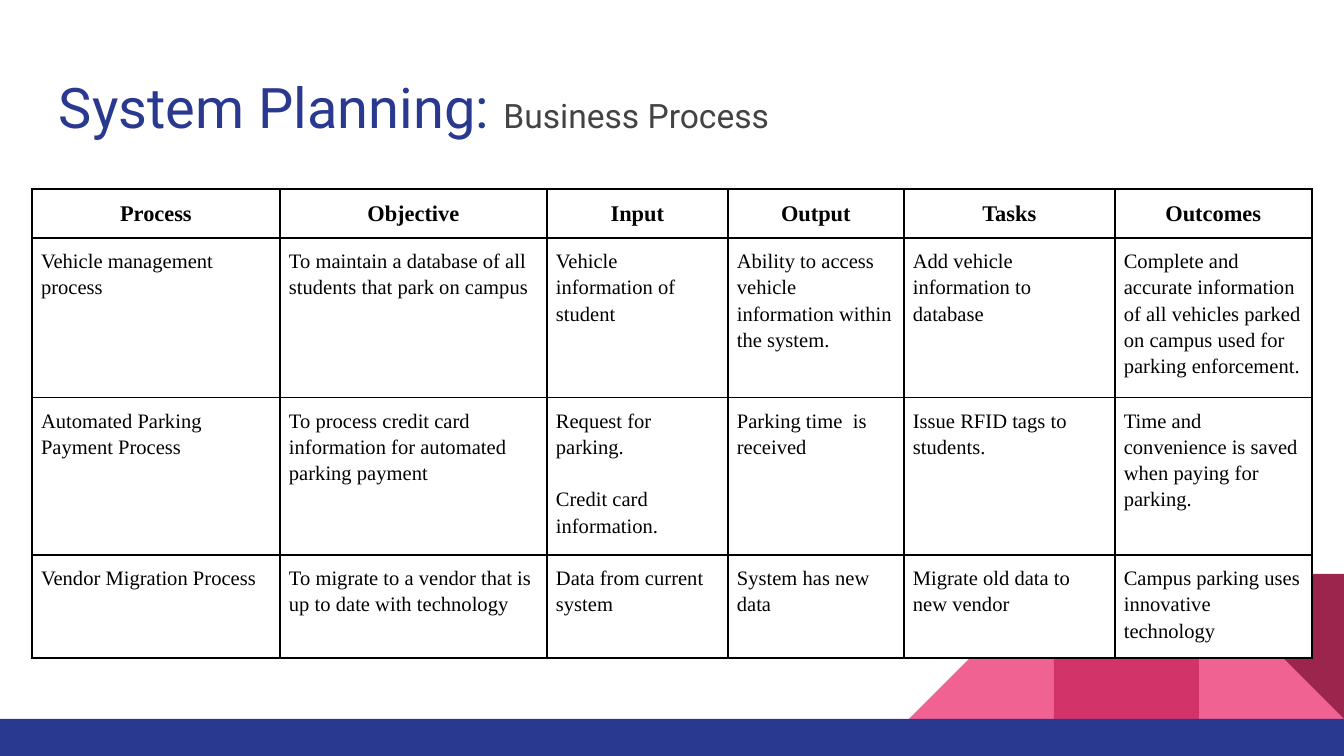
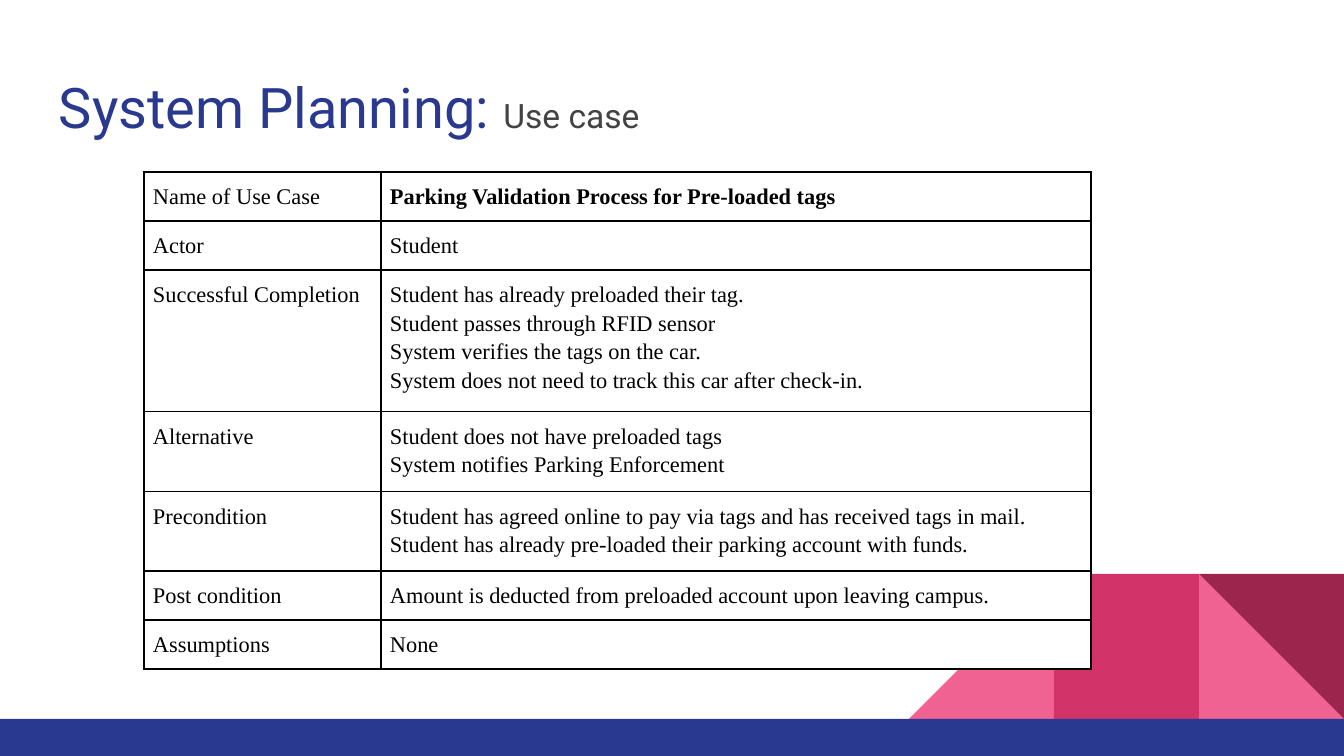
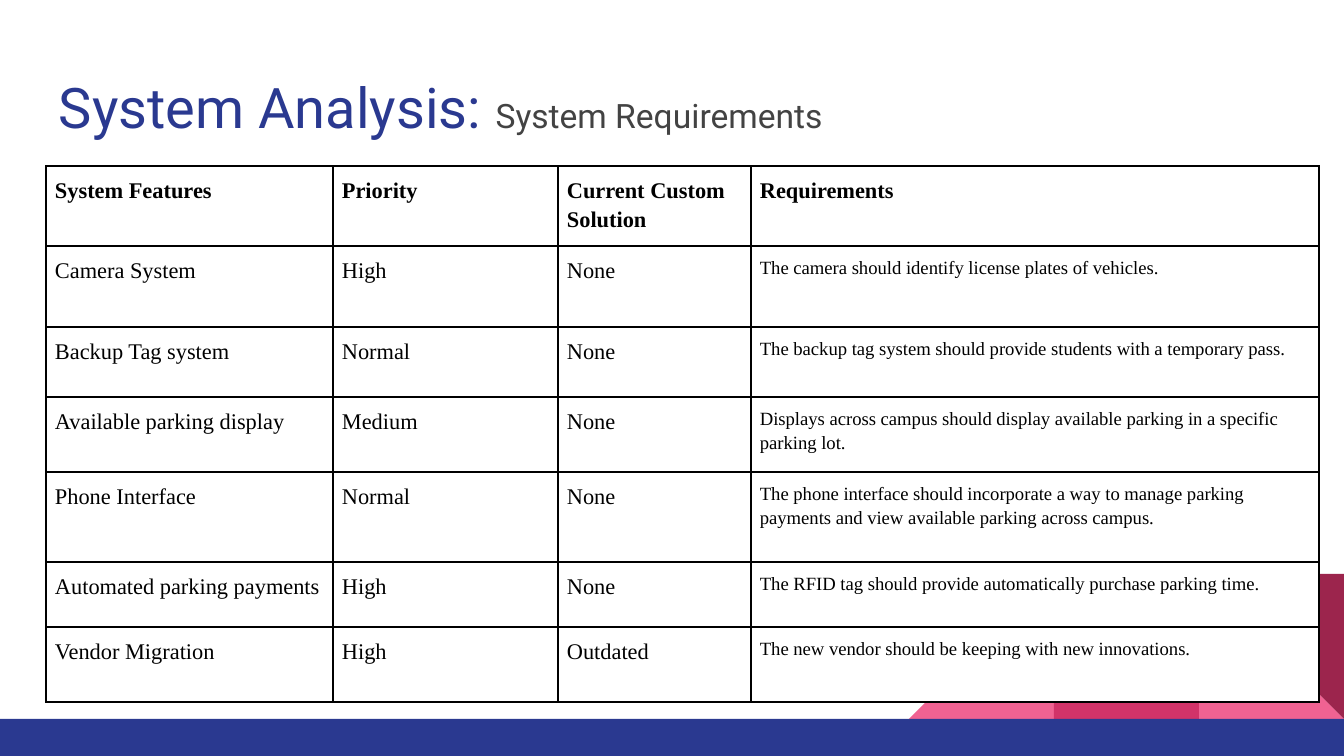
from lxml.etree import SubElement
from pptx import Presentation
from pptx.dml.color import RGBColor
from pptx.enum.shapes import MSO_SHAPE
from pptx.enum.text import MSO_ANCHOR, PP_ALIGN
from pptx.oxml.ns import qn
from pptx.util import Emu, Pt

WIDE, HIGH = 1344, 756
NAVY, GREY, BLACK, WHITE = "2A3990", "434343", "000000", "FFFFFF"
PINK, ROSE, WINE = "F06292", "D23369", "9C254D"
SANS, SERIF = "Roboto", "Times New Roman"

TILE = 145
BAND = 719  # top of the footer band
RIGHT = MSO_SHAPE.RIGHT_TRIANGLE
BOX = MSO_SHAPE.RECTANGLE
# shape, tiles from the right edge, rotation, colour
TILES = [
    (RIGHT, 1, 0, PINK),
    (RIGHT, 3, 270, PINK),
    (BOX, 2, 0, ROSE),
    (RIGHT, 1, 180, WINE),
]

# sizes: body text size of each column; bold: first bold column of the top row;
# a tuple holds the paragraphs of one cell, gap is the space between them
SLIDES = [
    {
        "title": ("System Planning: ", "Business Process"),
        "at": (32, 189),
        "cols": [248, 267, 181, 176, 211, 197],
        "rows": [48, 150, 154, 99],
        "sizes": [11] * 6,
        "bold": 0,
        "align": PP_ALIGN.CENTER,
        "gap": 14,
        "cells": [
            ["Process", "Objective", "Input", "Output", "Tasks", "Outcomes"],
            ["Vehicle management process",
             "To maintain a database of all students that park on campus",
             "Vehicle information of student",
             "Ability to access vehicle information within the system.",
             "Add vehicle information to database",
             "Complete and accurate information of all vehicles parked "
             "on campus used for parking enforcement."],
            ["Automated Parking Payment Process",
             "To process credit card information for automated parking payment",
             ("Request for parking.", "Credit card information."),
             "Parking time  is received",
             "Issue RFID tags to students.",
             "Time and convenience is saved when paying for parking."],
            ["Vendor Migration Process",
             "To migrate to a vendor that is up to date with technology",
             "Data from current system",
             "System has new data",
             "Migrate old data to new vendor",
             "Campus parking uses innovative technology"],
        ],
    },
    {
        "title": ("System Planning: ", "Use case"),
        "at": (144, 172),
        "cols": [237, 710],
        "rows": [47, 47, 133, 76, 76, 47, 47],
        "sizes": [12, 12],
        "bold": 1,
        "align": PP_ALIGN.LEFT,
        "gap": 0,
        "cells": [
            ["Name of Use Case", "Parking Validation Process for Pre-loaded tags"],
            ["Actor", "Student"],
            ["Successful Completion",
             ("Student has already preloaded their tag.",
              "Student passes through RFID sensor",
              "System verifies the tags on the car.",
              "System does not need to track this car after check-in.")],
            ["Alternative",
             ("Student does not have preloaded tags",
              "System notifies Parking Enforcement")],
            ["Precondition",
             ("Student has agreed online to pay via tags and has received tags in mail.",
              "Student has already pre-loaded their parking account with funds.")],
            ["Post condition",
             "Amount is deducted from preloaded account upon leaving campus."],
            ["Assumptions", "None"],
        ],
    },
    {
        "title": ("System Analysis: ", "System Requirements"),
        "at": (46, 166),
        "cols": [287, 225, 193, 568],
        "rows": [80, 81, 70, 75, 90, 65, 75],
        "sizes": [12, 12, 12, 10],
        "bold": 0,
        "align": PP_ALIGN.LEFT,
        "gap": 0,
        "cells": [
            ["System Features", "Priority", "Current Custom Solution", "Requirements"],
            ["Camera System", "High", "None",
             "The camera should identify license plates of vehicles."],
            ["Backup Tag system", "Normal", "None",
             "The backup tag system should provide students with a temporary pass."],
            ["Available parking display", "Medium", "None",
             "Displays across campus should display available parking "
             "in a specific parking lot."],
            ["Phone Interface", "Normal", "None",
             "The phone interface should incorporate a way to manage parking "
             "payments and view available parking across campus."],
            ["Automated parking payments", "High", "None",
             "The RFID tag should provide automatically purchase parking time."],
            ["Vendor Migration", "High", "Outdated",
             "The new vendor should be keeping with new innovations."],
        ],
    },
]


def px(n):
    return Emu(round(n * 9144000 / WIDE))


def paint(fill, color):
    fill.solid()
    fill.fore_color.rgb = RGBColor.from_string(color)


def style(font, name, size, color, bold=False):
    font.name, font.size, font.bold = name, Pt(size), bold
    font.color.rgb = RGBColor.from_string(color)


def add_block(slide, kind, x, y, w, h, color, turn=0):
    block = slide.shapes.add_shape(kind, px(x), px(y), px(w), px(h))
    block.rotation = turn
    block.shadow.inherit = False
    block.line.fill.background()
    paint(block.fill, color)


def add_decor(slide):
    for kind, back, turn, color in TILES:
        add_block(slide, kind, WIDE - back * TILE, BAND - TILE, TILE, TILE, color, turn)
    add_block(slide, BOX, 0, BAND, WIDE, HIGH - BAND, NAVY)


def add_title(slide, title):
    frame = slide.shapes.add_textbox(px(46), px(60), px(1252), px(89)).text_frame
    frame.word_wrap = True
    frame.vertical_anchor = MSO_ANCHOR.TOP
    frame.margin_left = frame.margin_right = px(13)
    frame.margin_top = frame.margin_bottom = px(13)
    for text, size, color in zip(title, (30, 18), (NAVY, GREY)):
        run = frame.paragraphs[0].add_run()
        run.text = text
        style(run.font, SANS, size, color)


def add_edges(cell):
    """Draw a thin black line on all four sides of the cell."""
    props = cell._tc.get_or_add_tcPr()
    for side in ("a:lnL", "a:lnR", "a:lnT", "a:lnB"):
        line = SubElement(props, qn(side), w=str(Pt(1)))
        SubElement(SubElement(line, qn("a:solidFill")), qn("a:srgbClr"), val=BLACK)


def fill_cell(cell, text, size, bold, align, gap):
    add_edges(cell)
    paint(cell.fill, WHITE)
    cell.margin_left = cell.margin_right = px(9)
    cell.margin_top = cell.margin_bottom = px(9)
    parts = (text,) if isinstance(text, str) else text
    cell.text_frame.text = "\n".join(parts)
    for i, para in enumerate(cell.text_frame.paragraphs):
        para.alignment = align
        para.line_spacing = 1.15
        para.space_before = Pt(gap if i else 0)
        style(para.font, SERIF, size, BLACK, bold)


def add_grid(slide, data):
    cols, rows = data["cols"], data["rows"]
    x, y = data["at"]
    table = slide.shapes.add_table(
        len(rows), len(cols), px(x), px(y), px(sum(cols)), px(sum(rows))).table
    table.first_row = table.horz_banding = False
    for col, width in zip(table.columns, cols):
        col.width = px(width)
    for row, height in zip(table.rows, rows):
        row.height = px(height)
    for r, line in enumerate(data["cells"]):
        for c, text in enumerate(line):
            head = r == 0
            fill_cell(table.cell(r, c), text,
                      12 if head else data["sizes"][c],
                      head and c >= data["bold"],
                      data["align"] if head else PP_ALIGN.LEFT,
                      data["gap"])


def main():
    deck = Presentation()
    deck.slide_width, deck.slide_height = px(WIDE), px(HIGH)
    for data in SLIDES:
        slide = deck.slides.add_slide(deck.slide_layouts[6])
        add_decor(slide)
        add_title(slide, data["title"])
        add_grid(slide, data)
    deck.save("out.pptx")


if __name__ == "__main__":
    main()
